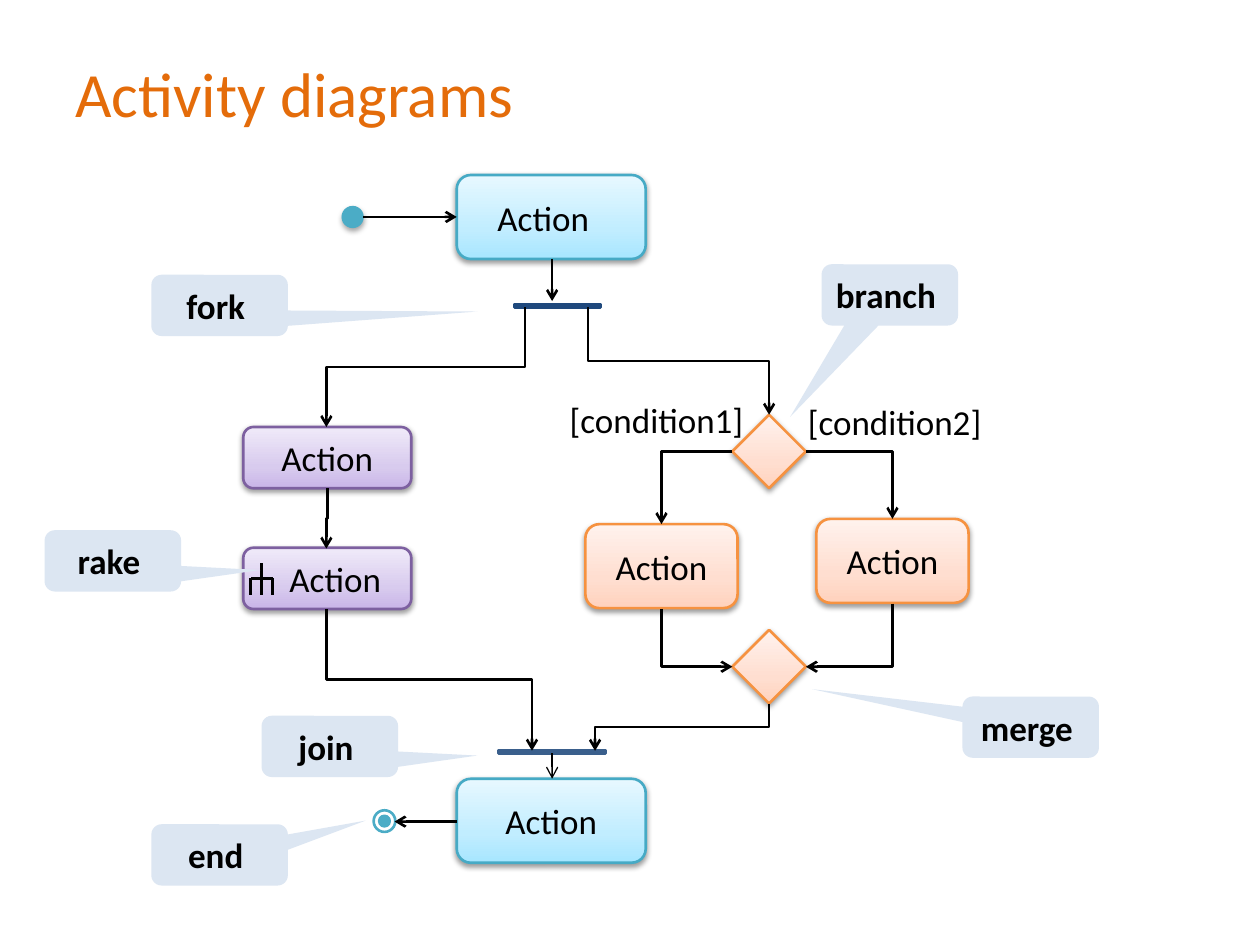
from copy import deepcopy

from lxml.etree import SubElement
from pptx import Presentation
from pptx.dml.color import RGBColor
from pptx.enum.shapes import MSO_CONNECTOR, MSO_SHAPE
from pptx.enum.text import MSO_ANCHOR, MSO_AUTO_SIZE, PP_ALIGN
from pptx.oxml.ns import qn
from pptx.util import Pt

BLACK = RGBColor(0, 0, 0)
WHITE = RGBColor(255, 255, 255)
ORANGE = RGBColor(0xE4, 0x6C, 0x0A)
TEAL = RGBColor(0x4B, 0xAC, 0xC6)
PALE_BLUE = RGBColor(0xDC, 0xE6, 0xF2)
NAVY = RGBColor(0x1F, 0x49, 0x7D)
BLUE = RGBColor(0x4F, 0x81, 0xBD)
DARK_BLUE = RGBColor(0x3A, 0x5F, 0x8C)

CYAN_STYLE = {
    "line": RGBColor(0x46, 0xAA, 0xC5),
    "stops": (RGBColor(0xA7, 0xE6, 0xFF), RGBColor(0xC1, 0xED, 0xFF), RGBColor(0xE7, 0xF8, 0xFF)),
}
PURPLE_STYLE = {
    "line": RGBColor(0x7D, 0x60, 0xA0),
    "stops": (RGBColor(0xC9, 0xB5, 0xE8), RGBColor(0xD8, 0xCB, 0xEE), RGBColor(0xF0, 0xEA, 0xF9)),
}
PEACH_STYLE = {
    "line": RGBColor(0xF6, 0x92, 0x40),
    "stops": (RGBColor(0xFF, 0xD2, 0xBD), RGBColor(0xFF, 0xDE, 0xD0), RGBColor(0xFF, 0xF2, 0xED)),
}

FRAME = {
    "word_wrap": True,
    "auto_size": MSO_AUTO_SIZE.NONE,
    "vertical_anchor": MSO_ANCHOR.MIDDLE,
    "margin_left": Pt(7.2),
    "margin_right": Pt(7.2),
    "margin_top": Pt(3.6),
    "margin_bottom": Pt(3.6),
}
FONT = {"name": "Calibri", "size": Pt(20), "bold": False}


def apply(target, values):
    for name, value in values.items():
        setattr(target, name, value)


def write(box, text, color=BLACK, align=PP_ALIGN.CENTER, frame={}, font={}):
    apply(box.text_frame, FRAME | frame)
    para = box.text_frame.paragraphs[0]
    para.alignment = align
    span = para.add_run()
    span.text = text
    apply(span.font, FONT | font)
    span.font.color.rgb = color


def add_label(page, text, bounds, color=BLACK, frame={}, font={}):
    box = page.shapes.add_textbox(*map(Pt, bounds))
    write(box, text, color, PP_ALIGN.LEFT, frame, font)


def add_plain(parent, kind, bounds, fill, line=None, width=0.75):
    shape = parent.shapes.add_shape(kind, *map(Pt, bounds))
    shape.shadow.inherit = False
    shape.fill.solid()
    shape.fill.fore_color.rgb = fill
    if line is None:
        shape.line.fill.background()
    else:
        shape.line.color.rgb = line
        shape.line.width = Pt(width)
    return shape


def cast_shadow(shape, opacity, distance):
    effects = shape._element.spPr.find(qn("a:effectLst"))
    shadow = SubElement(effects, qn("a:outerShdw"), blurRad=str(Pt(3.1)),
                        dist=str(Pt(distance)), dir="5400000", rotWithShape="0")
    color = SubElement(shadow, qn("a:srgbClr"), val="000000")
    SubElement(color, qn("a:alpha"), val=str(opacity * 1000))


def add_node(page, kind, bounds, style):
    shape = add_plain(page, kind, bounds, WHITE, style["line"], 1.5)
    shape.fill.gradient()
    shape.fill.gradient_angle = 90
    stop_list = shape._element.spPr.find(qn("a:gradFill")).find(qn("a:gsLst"))
    stop_list.append(deepcopy(stop_list[0]))
    for stop, position, color in zip(shape.fill.gradient_stops, (0, 0.35, 1), style["stops"]):
        stop.position = position
        stop.color.rgb = color
    cast_shadow(shape, 38, 1.6)
    return shape


def add_action(page, bounds, style, frame={}):
    write(add_node(page, MSO_SHAPE.ROUNDED_RECTANGLE, bounds, style), "Action", frame=frame)


def add_callout(page, text, left, top, tip):
    shape = add_plain(page, MSO_SHAPE.ROUNDED_RECTANGULAR_CALLOUT, (left, top, 78, 35), PALE_BLUE)
    for index, value in enumerate(tip):
        shape.adjustments[index] = value
    write(shape, text, frame={"margin_left": Pt(5), "margin_right": Pt(9.4)}, font={"bold": True})


def add_line(parent, kind, ends, width=1.5):
    line = parent.shapes.add_connector(kind, *map(Pt, ends))
    line.line.color.rgb = BLACK
    line.line.width = Pt(width)
    SubElement(line._element.spPr, qn("a:effectLst"))
    return line


def add_flow(page, ends, downward=False, corner=False, width=1.5):
    if downward:
        x1, y1, x2, y2 = ends
        middle_x, middle_y = (x1 + x2) / 2, (y1 + y2) / 2
        half_x, half_y = (x2 - x1) / 2, (y2 - y1) / 2
        ends = (middle_x - half_y, middle_y + half_x, middle_x + half_y, middle_y - half_x)
    flow = add_line(page, MSO_CONNECTOR.ELBOW, ends, width)
    properties = flow._element.spPr
    if downward:
        properties.find(qn("a:xfrm")).set("rot", "5400000")
    if corner:
        properties.find(qn("a:prstGeom")).set("prst", "bentConnector2")
    SubElement(properties.find(qn("a:ln")), qn("a:tailEnd"), type="arrow")


def add_bar(page, left, top, count, fill, line):
    group = page.shapes.add_group_shape()
    for index in range(count):
        add_plain(group, MSO_SHAPE.MATH_MINUS, (left + 12 * index, top, 18, 6), fill, line, 2)


def add_rake(page, left, top):
    group = page.shapes.add_group_shape()
    middle, right, beam, bottom = left + 6.25, left + 12.5, top + 8.5, top + 18
    for ends in ((middle, top, middle, bottom), (left, beam, left, bottom),
                 (right, beam, right, bottom), (right, beam, left, beam)):
        add_line(group, MSO_CONNECTOR.STRAIGHT, ends)


def main():
    deck = Presentation()
    deck.slide_width, deck.slide_height = Pt(720), Pt(540)
    page = deck.slides.add_slide(deck.slide_layouts[6])

    add_label(page, "Activity diagrams", (36, 21.6, 648, 62.6), ORANGE, font={"size": Pt(36)})

    add_action(page, (261, 100, 108, 48), CYAN_STYLE, {"margin_right": Pt(16.2)})
    add_action(page, (261, 445, 108, 48), CYAN_STYLE)
    add_action(page, (139, 244, 96, 35), PURPLE_STYLE)
    add_action(page, (139, 313, 96, 35), PURPLE_STYLE, {"margin_left": Pt(16.2)})
    add_action(page, (466.5, 296.5, 87, 48), PEACH_STYLE)
    add_action(page, (334.5, 299.5, 87, 48), PEACH_STYLE)
    for top in (237, 360):
        add_node(page, MSO_SHAPE.FLOWCHART_DECISION, (418.5, top, 42, 42), PEACH_STYLE)

    start = add_plain(page, MSO_SHAPE.OVAL, (195.5, 118, 12, 12), TEAL, TEAL)
    cast_shadow(start, 35, 1.8)
    finish = page.shapes.add_group_shape()
    add_plain(finish, MSO_SHAPE.OVAL, (213.5, 463, 12.4, 12.4), WHITE, TEAL, 1.5)
    add_plain(finish, MSO_SHAPE.OVAL, (216.7, 466.2, 6, 6), TEAL, TEAL, 1.5)
    add_bar(page, 291.5, 172, 4, NAVY, NAVY)
    add_bar(page, 282.5, 427, 5, BLUE, DARK_BLUE)

    for ends in ((207.5, 124, 261, 124), (261, 469.5, 225.5, 469.5)):
        add_flow(page, ends)
    for ends in ((315.5, 148, 315.5, 172), (336, 175.5, 439.5, 237),
                 (300, 175.5, 186.5, 244), (187, 279, 186.5, 313.5),
                 (186.5, 348, 304, 429), (439.5, 402, 340, 429)):
        add_flow(page, ends, downward=True)
    add_flow(page, (315.5, 430.5, 315.5, 445), downward=True, width=0.75)
    for ends in ((460.5, 258, 510, 296.5), (418.5, 258, 378, 299.5)):
        add_flow(page, ends, corner=True)
    for ends in ((510, 345, 460.5, 381), (378, 348, 418.5, 381)):
        add_flow(page, ends, downward=True, corner=True)

    for text, bounds in (("[condition1]", (318.5, 224, 116, 31.5)),
                         ("[condition2]", (454.5, 225.5, 123, 31.5))):
        add_label(page, text, bounds, frame={"vertical_anchor": MSO_ANCHOR.TOP})

    add_rake(page, 143.25, 322)
    for text, left, top, tip in (
        ("join", 149.5, 409, (1.08, 0.15)),
        ("fork", 86.5, 157, (1.89, 0.1)),
        ("merge", 550, 398, (-1.6, -0.62)),
        ("branch", 469.5, 151, (-0.73, 1.99)),
        ("end", 86.5, 471, (1.07, -0.56)),
        ("rake", 25.5, 303, (1.08, 0.15)),
    ):
        add_callout(page, text, left, top, tip)

    deck.save("out.pptx")


if __name__ == "__main__":
    main()
